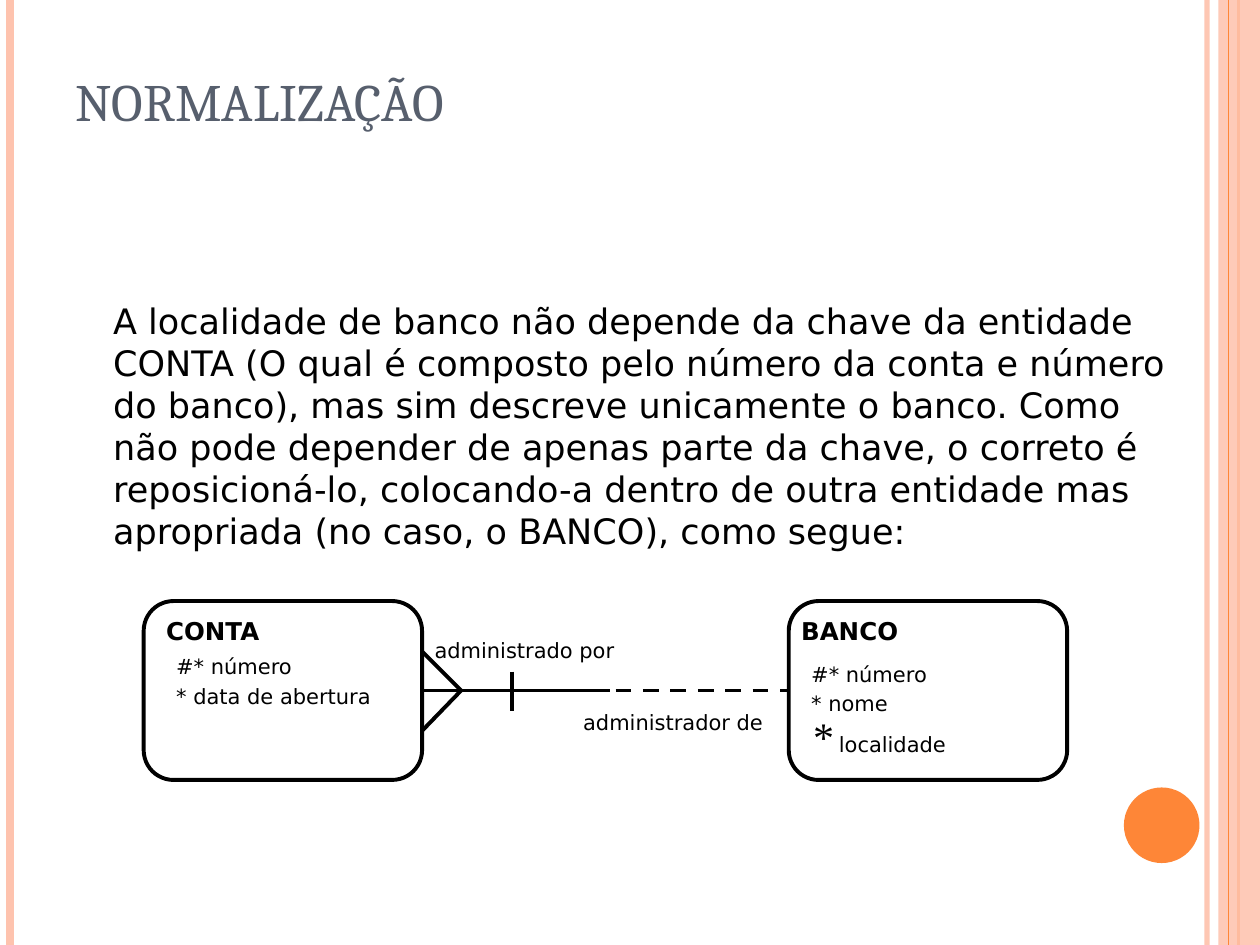
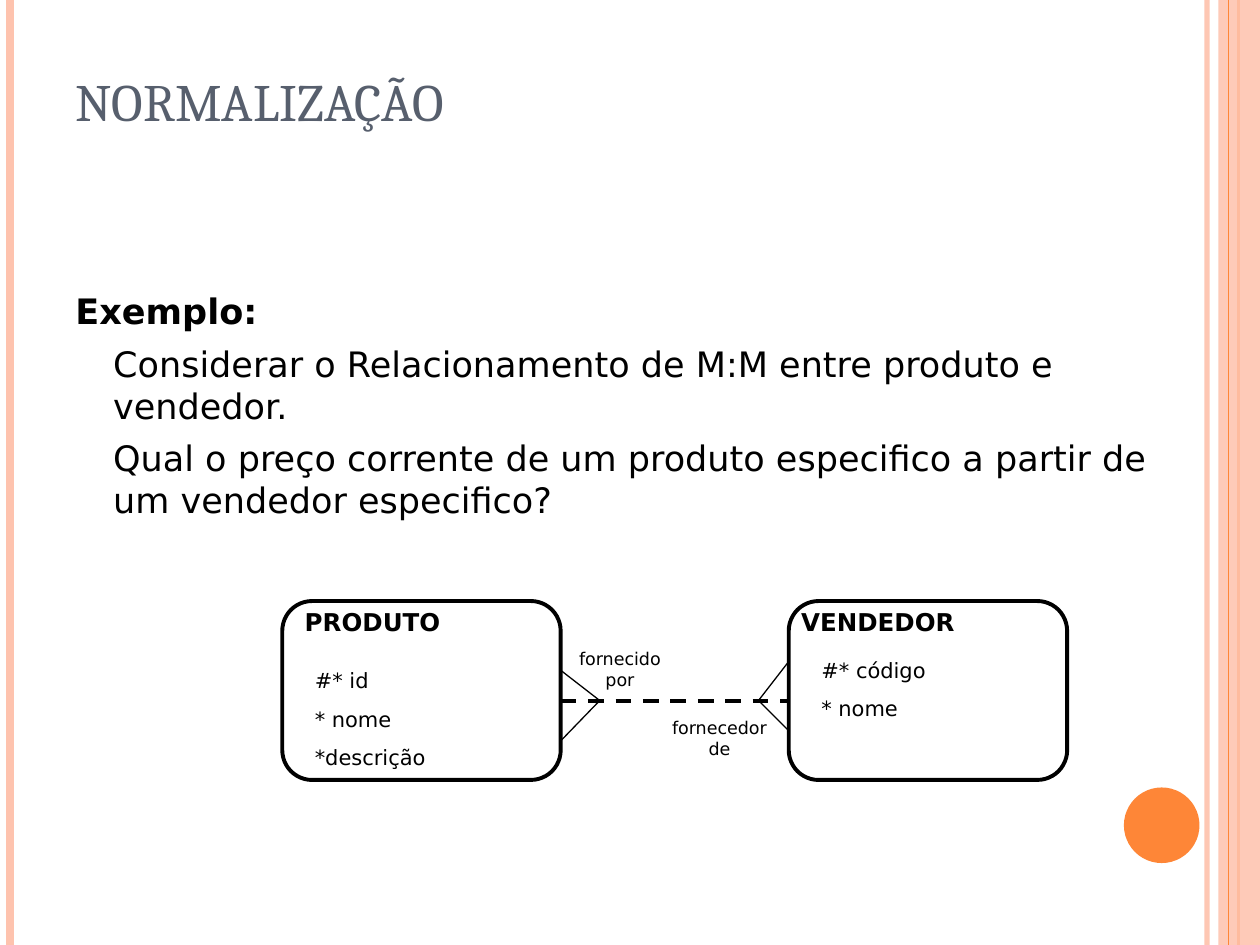
import dataclasses
import typing

import pptx
import pptx.dml.color
import pptx.enum.dml
import pptx.enum.shapes
import pptx.enum.text
import pptx.oxml.ns
import pptx.oxml.xmlchemy
import pptx.slide
import pptx.util

Inches = pptx.util.Inches
SHAPES = pptx.enum.shapes.MSO_SHAPE

BLACK, SLATE, ORANGE, PEACH = "000000", "575F6D", "FE8637", "FEC3AE"
SLIDE_WIDTH, SLIDE_HEIGHT = 10, 7.5

# Entity box geometry shared by both diagrams
ENTITY_TOP, ENTITY_WIDTH, ENTITY_HEIGHT = 4.77, 2.21, 1.42
RIGHT_ENTITY_LEFT = 6.26
LEFT_SIDE, RIGHT_SIDE = 1, 3

# Text styles
PLAIN = {"name": "DejaVu Sans", "size": pptx.util.Pt(12)}
HEADING = {**PLAIN, "size": pptx.util.Pt(14), "bold": True}
SMALL = {**PLAIN, "size": pptx.util.Pt(10)}
BODY = {**PLAIN, "size": pptx.util.Pt(20)}
BODY_BOLD = {**BODY, "bold": True}
TITLE = {"name": "Cambria", "size": pptx.util.Pt(30)}
STAR = {"name": "Times New Roman", "size": pptx.util.Pt(24), "italic": True}


@dataclasses.dataclass(frozen=True)
class Paragraph:
    runs: tuple[tuple[str, dict[str, typing.Any]], ...]
    before: float = 0
    spacing: float = 1.0
    indent: float = 0
    centered: bool = False


@dataclasses.dataclass(frozen=True)
class TextBlock:
    left: float
    top: float
    width: float
    height: float
    paragraphs: tuple[Paragraph, ...]
    color: str = BLACK
    grow: bool = True


@dataclasses.dataclass(frozen=True)
class Line:
    x1: float
    y1: float
    x2: float
    y2: float
    weight: float = 2.25
    color: str = BLACK
    dashed: bool = False
    opacity: int = 100


EDGE_LINES = (
    Line(9.58, 0, 9.58, SLIDE_HEIGHT, 3, PEACH, opacity=93),
    Line(0.08, 0, 0.08, SLIDE_HEIGHT, 4.5, PEACH),
    Line(9.83, 0, 9.83, SLIDE_HEIGHT, 1.5, ORANGE),
)
BAND_LINE = Line(9.75, 0, 9.75, SLIDE_HEIGHT, 0.75, ORANGE)


def rgb(code: str) -> pptx.dml.color.RGBColor:
    return pptx.dml.color.RGBColor.from_string(code)


def set_opacity(drawn: typing.Any, percent: int) -> None:
    for color in drawn.element.iter(pptx.oxml.ns.qn("a:srgbClr")):
        alpha = pptx.oxml.xmlchemy.OxmlElement("a:alpha")
        alpha.set("val", str(percent * 1000))
        color.append(alpha)


def draw_line(slide: pptx.slide.Slide, line: Line) -> typing.Any:
    drawn = slide.shapes.add_connector(
        pptx.enum.shapes.MSO_CONNECTOR.STRAIGHT,
        Inches(line.x1), Inches(line.y1), Inches(line.x2), Inches(line.y2))
    drawn.line.color.rgb = rgb(line.color)
    drawn.line.width = pptx.util.Pt(line.weight)
    if line.dashed:
        drawn.line.dash_style = pptx.enum.dml.MSO_LINE.DASH
    if line.opacity < 100:
        set_opacity(drawn, line.opacity)
    drawn.element.spPr.append(pptx.oxml.xmlchemy.OxmlElement("a:effectLst"))
    return drawn


def draw_shape(slide: pptx.slide.Slide, preset: typing.Any, left: float, top: float,
               width: float, height: float, fill: str = "") -> typing.Any:
    """A filled shape has no outline; an unfilled one is outlined in black."""
    drawn = slide.shapes.add_shape(
        preset, Inches(left), Inches(top), Inches(width), Inches(height))
    drawn.shadow.inherit = False
    if fill:
        drawn.fill.solid()
        drawn.fill.fore_color.rgb = rgb(fill)
        drawn.line.fill.background()
    else:
        drawn.fill.background()
        drawn.line.color.rgb = rgb(BLACK)
        drawn.line.width = pptx.util.Pt(2.25)
    return drawn


def draw_text(slide: pptx.slide.Slide, block: TextBlock) -> None:
    frame = slide.shapes.add_textbox(
        Inches(block.left), Inches(block.top),
        Inches(block.width), Inches(block.height)).text_frame
    frame.word_wrap = True
    if block.grow:
        frame.auto_size = pptx.enum.text.MSO_AUTO_SIZE.SHAPE_TO_FIT_TEXT
    for index, content in enumerate(block.paragraphs):
        paragraph = frame.add_paragraph() if index else frame.paragraphs[0]
        paragraph.space_before = pptx.util.Pt(content.before)
        paragraph.line_spacing = content.spacing
        if content.centered:
            paragraph.alignment = pptx.enum.text.PP_ALIGN.CENTER
        if content.indent:
            paragraph._p.get_or_add_pPr().set("marL", str(Inches(content.indent)))
        for text, style in content.runs:
            run = paragraph.add_run()
            run.text = text
            run.font.color.rgb = rgb(block.color)
            for attribute_name, value in style.items():
                setattr(run.font, attribute_name, value)


def draw_body(slide: pptx.slide.Slide, top: float, *paragraphs: Paragraph) -> None:
    draw_text(slide, TextBlock(0.5, top, 9, 4.53 - top, paragraphs, grow=False))


def draw_entity(slide: pptx.slide.Slide, left: float) -> typing.Any:
    return draw_shape(slide, SHAPES.FLOWCHART_ALTERNATE_PROCESS,
                      left, ENTITY_TOP, ENTITY_WIDTH, ENTITY_HEIGHT)


def body(text: str) -> Paragraph:
    return Paragraph(((text, BODY),), before=6, indent=0.3)


def heading(text: str, left: float, top: float, width: float) -> TextBlock:
    return TextBlock(left, top, width, 0.34, (Paragraph(((text, HEADING),), 8.8),))


def attribute(text: str, spacing: float = 1.0) -> Paragraph:
    return Paragraph(((text, PLAIN),), 7.5, spacing)


def small_label(text: str) -> tuple[Paragraph, ...]:
    return (Paragraph(((text, SMALL),), 6.2, centered=True),)


def new_slide(deck: typing.Any) -> pptx.slide.Slide:
    """Blank slide with the side bands, the disc and the title."""
    slide = deck.slides.add_slide(deck.slide_layouts[6])
    for line in EDGE_LINES:
        draw_line(slide, line)
    band = draw_shape(slide, SHAPES.RECTANGLE, 9.67, 0, 0.33, SLIDE_HEIGHT, PEACH)
    set_opacity(band, 87)
    draw_line(slide, BAND_LINE)
    draw_shape(slide, SHAPES.OVAL, 8.92, 6.25, 0.6, 0.6, ORANGE)
    title = Paragraph((("NORMALIZAÇÃO", TITLE),), spacing=1.4)
    draw_text(slide, TextBlock(0.5, 0.3, 8.17, 1.25, (title,), SLATE, grow=False))
    return slide


def build_account_slide(deck: typing.Any) -> None:
    slide = new_slide(deck)
    draw_body(slide, 2.33, body(
        "A localidade de banco não depende da chave da entidade CONTA (O qual é "
        "composto pelo número da conta e número do banco), mas sim descreve "
        "unicamente o banco. Como não pode depender de apenas parte da chave, o "
        "correto é reposicioná-lo, colocando-a dentro de outra entidade mas "
        "apropriada (no caso, o BANCO), como segue:"))

    # Entities and their relationship
    account = draw_entity(slide, 1.14)
    bank = draw_entity(slide, RIGHT_ENTITY_LEFT)
    side, axis, foot = 3.35, 5.48, 3.66
    for line in (Line(side, 5.17, foot, axis), Line(foot, axis, side, 5.8),
                 Line(4.06, 5.33, 4.06, 5.64)):
        draw_line(slide, line)
    mandatory = draw_line(slide, Line(side, axis, 4.84, axis))
    mandatory.begin_connect(account, RIGHT_SIDE)
    optional = draw_line(slide, Line(4.45, axis, RIGHT_ENTITY_LEFT, axis, dashed=True))
    optional.end_connect(bank, LEFT_SIDE)

    # Names, attributes and roles
    location = Paragraph((("*", STAR), (" localidade", PLAIN)), 7.5, 0.6)
    for block in (
        heading("CONTA", 1.22, 4.84, 1.1),
        heading("BANCO", RIGHT_ENTITY_LEFT, 4.84, 1.1),
        TextBlock(1.3, 5.14, 2.36, 0.53,
                  (attribute("#* número"), attribute("* data de abertura", 0.6))),
        TextBlock(6.34, 5.2, 2.36, 1.1,
                  (attribute("#* número"), attribute("* nome", 0.6), location)),
        TextBlock(3.35, 5.01, 1.81, 0.3, (attribute("administrado por"),)),
        TextBlock(4.53, 5.58, 1.73, 0.3, (attribute("administrador de"),)),
    ):
        draw_text(slide, block)


def build_product_slide(deck: typing.Any) -> None:
    slide = new_slide(deck)
    draw_body(
        slide, 2.25,
        Paragraph((("Exemplo:", BODY_BOLD),), before=6),
        body("Considerar o Relacionamento de M:M entre produto e vendedor."),
        body("Qual o preço corrente de um produto especifico a partir de um "
             "vendedor especifico?"))

    # Entities and their relationship
    for left in (2.24, RIGHT_ENTITY_LEFT):
        draw_entity(slide, left)
    side, axis = 4.45, 5.56
    draw_line(slide, Line(side, axis, RIGHT_ENTITY_LEFT, axis, dashed=True))
    for foot, edge, ends in ((4.76, side, (5.32, 5.88)),
                             (6.02, RIGHT_ENTITY_LEFT, (5.25, 5.8))):
        for end in ends:
            draw_line(slide, Line(foot, axis, edge, end, 0.75))

    # Names, attributes and roles
    for block in (
        heading("PRODUTO", 2.32, ENTITY_TOP, 1.57),
        heading("VENDEDOR", RIGHT_ENTITY_LEFT, ENTITY_TOP, 1.57),
        TextBlock(2.4, 5.25, 2.84, 0.91,
                  tuple(map(attribute, ("#* id", "* nome", "*descrição")))),
        TextBlock(6.42, 5.17, 2.68, 0.61,
                  tuple(map(attribute, ("#* código", "* nome")))),
        TextBlock(4.37, 5.09, 1.1, 0.27, small_label("fornecido por")),
        TextBlock(5.16, 5.64, 1.1, 0.44, small_label("fornecedor de")),
    ):
        draw_text(slide, block)


def main() -> None:
    deck = pptx.Presentation()
    deck.slide_width = Inches(SLIDE_WIDTH)
    deck.slide_height = Inches(SLIDE_HEIGHT)
    build_account_slide(deck)
    build_product_slide(deck)
    deck.save("out.pptx")


if __name__ == "__main__":
    main()
